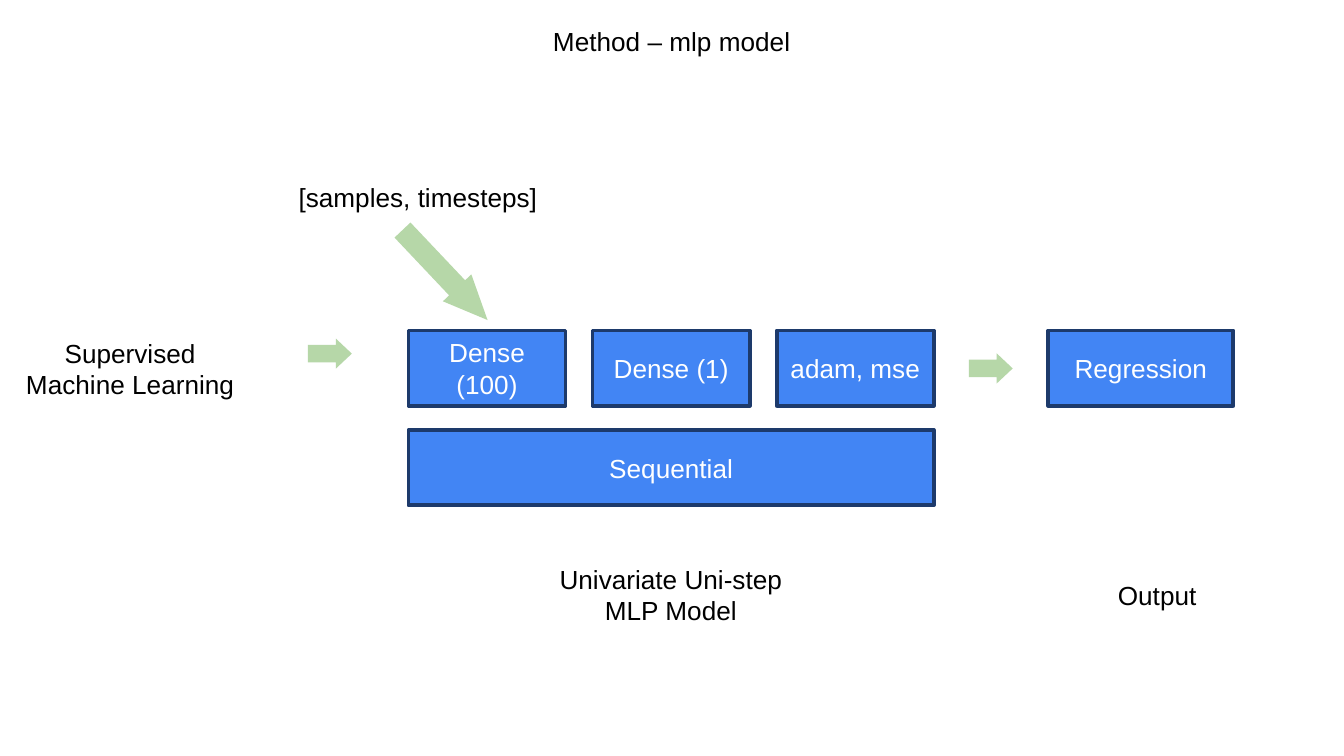
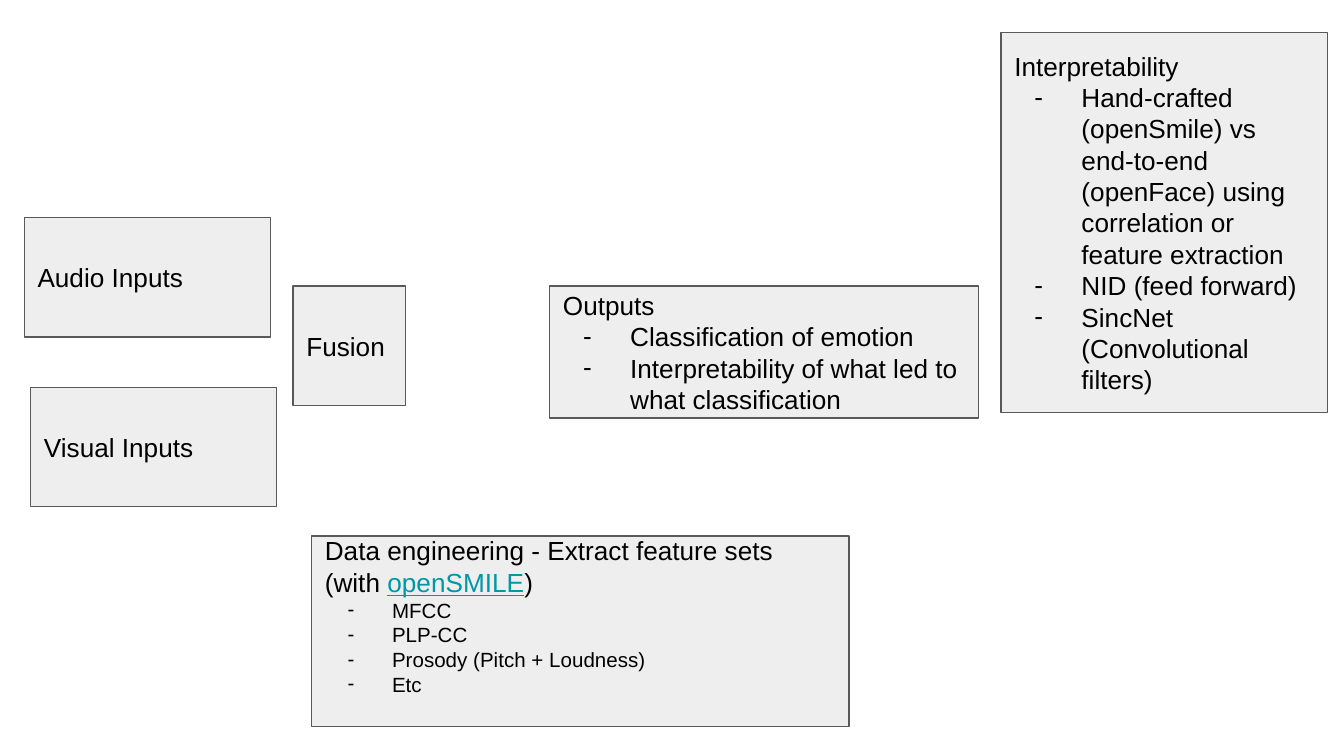
from lxml.etree import SubElement
from pptx import Presentation
from pptx.dml.color import RGBColor
from pptx.enum.shapes import MSO_SHAPE
from pptx.enum.text import MSO_ANCHOR, MSO_AUTO_SIZE, PP_ALIGN
from pptx.oxml.ns import qn
from pptx.util import Cm, Pt

BLACK = RGBColor(0x00, 0x00, 0x00)
WHITE = RGBColor(0xFF, 0xFF, 0xFF)
BLUE = RGBColor(0x42, 0x85, 0xF4)
NAVY = RGBColor(0x1D, 0x3A, 0x6B)
GREEN = RGBColor(0xB6, 0xD7, 0xA8)
LIGHT_GREY = RGBColor(0xEE, 0xEE, 0xEE)
DARK_GREY = RGBColor(0x59, 0x59, 0x59)
TEAL = RGBColor(0x00, 0x97, 0xA7)

FONT = "Arial"
TEXT_SIZE, SMALL_SIZE = 14, 11
BULLET_INDENT = 1.27

# All places are (left, top, width, height) in centimetres.
TITLE = ("Method – mlp model", (9.8, 0.36, 5.79, 0.86))
LABELS = [
    ("Supervised Machine Learning", (0.2, 6.25, 4.52, 1.45)),
    ("Univariate Uni-step MLP Model", (9.96, 10.52, 5.44, 1.45)),
    ("Output", (19.15, 10.82, 5.44, 0.86)),
    ("[samples, timesteps]", (5.31, 3.3, 5.18, 0.86)),
]
LAYERS = ["Dense (100)", "Dense (1)", "adam, mse"]
LAYER_LEFT, LAYER_TOP, LAYER_WIDTH, LAYER_HEIGHT = 7.72, 6.25, 2.97, 1.42
LAYER_STEP = 3.48
SEQUENTIAL_TOP = 8.13
REGRESSION_LEFT, REGRESSION_WIDTH = 19.81, 3.5
# Place, rotation, shaft share of the height, head length as share of the height
ARROWS = [
    ((5.82, 6.4, 0.83, 0.57), 0, 0.58, 0.53),
    ((18.31, 6.68, 0.83, 0.57), 0, 0.58, 0.53),
    ((7.24, 4.83, 2.34, 0.74), 46.6, 0.56, 1.13),
]

# Each heading is a list of (text, is_highlighted) runs.
PIPELINE = [
    {"place": (0.46, 4.11, 4.65, 2.26), "heading": [("Audio Inputs", False)]},
    {"place": (0.58, 7.32, 4.65, 2.26), "heading": [("Visual Inputs", False)]},
    {"place": (5.54, 5.41, 2.13, 2.26), "heading": [("Fusion", False)]},
    {
        "place": (10.39, 5.41, 8.1, 2.49),
        "heading": [("Outputs", False)],
        "bullets": [
            "Classification of emotion",
            "Interpretability of what led to what classification",
        ],
    },
    {
        "place": (18.92, 0.61, 6.17, 7.19),
        "heading": [("Interpretability", False)],
        "bullets": [
            "Hand-crafted (openSmile) vs end-to-end (openFace) "
            "using correlation or feature extraction",
            "NID (feed forward)",
            "SincNet (Convolutional filters)",
        ],
    },
    {
        "place": (5.89, 10.13, 10.16, 3.61),
        "heading": [
            ("Data engineering - Extract feature sets (with ", False),
            ("openSMILE", True),
            (")", False),
        ],
        "bullets": ["MFCC", "PLP-CC", "Prosody (Pitch + Loudness)", "Etc"],
        "bullet_size": SMALL_SIZE,
        "hanging": 0.84,
        "bottom_margin": 0.85,
    },
]


def in_cm(place):
    return [Cm(length) for length in place]


def set_values(target, values):
    for name, value in values.items():
        setattr(target, name, value)


def add_run(paragraph, text, color=BLACK, size=TEXT_SIZE, underline=None):
    run = paragraph.add_run()
    run.text = text
    set_values(run.font, {"name": FONT, "size": Pt(size), "underline": underline})
    run.font.color.rgb = color


def add_block(slide, kind, place, fill, line=None, line_width=0):
    shape = slide.shapes.add_shape(kind, *in_cm(place))
    shape.shadow.inherit = False
    shape.fill.solid()
    shape.fill.fore_color.rgb = fill
    if line is None:
        shape.line.fill.background()
    else:
        shape.line.color.rgb = line
        shape.line.width = Pt(line_width)
    return shape


def add_model_box(slide, text, place):
    shape = add_block(slide, MSO_SHAPE.RECTANGLE, place, BLUE, NAVY, 2)
    shape.text_frame.vertical_anchor = MSO_ANCHOR.MIDDLE
    paragraph = shape.text_frame.paragraphs[0]
    paragraph.alignment = PP_ALIGN.CENTER
    add_run(paragraph, text, WHITE)


def add_arrow(slide, place, rotation, shaft, head):
    arrow = add_block(slide, MSO_SHAPE.RIGHT_ARROW, place, GREEN)
    arrow.rotation = rotation
    arrow.adjustments[0] = shaft
    arrow.adjustments[1] = head


def write_label(shape, text):
    set_values(shape.text_frame, {
        "word_wrap": True,
        "auto_size": MSO_AUTO_SIZE.NONE,
        "vertical_anchor": MSO_ANCHOR.TOP,
    })
    paragraph = shape.text_frame.paragraphs[0]
    paragraph.alignment = PP_ALIGN.CENTER
    add_run(paragraph, text)


def set_dash_bullet(paragraph, hanging):
    properties = paragraph._p.get_or_add_pPr()
    properties.set("marL", str(Cm(BULLET_INDENT)))
    properties.set("indent", str(-Cm(hanging)))
    color = SubElement(properties, qn("a:buClr"))
    SubElement(color, qn("a:srgbClr"), val=str(BLACK))
    SubElement(properties, qn("a:buFont"), typeface=FONT)
    SubElement(properties, qn("a:buChar"), char="-")


def add_pipeline_box(slide, place, heading, bullets=(), bullet_size=TEXT_SIZE,
                     hanging=0.89, bottom_margin=0.25):
    shape = add_block(slide, MSO_SHAPE.RECTANGLE, place, LIGHT_GREY, DARK_GREY, 0.75)
    frame = shape.text_frame
    set_values(frame, {
        "vertical_anchor": MSO_ANCHOR.MIDDLE,
        "margin_left": Cm(0.25),
        "margin_right": Cm(0.25),
        "margin_top": Cm(0.25),
        "margin_bottom": Cm(bottom_margin),
    })
    paragraph = frame.paragraphs[0]
    paragraph.alignment = PP_ALIGN.LEFT
    for text, highlighted in heading:
        add_run(paragraph, text, TEAL if highlighted else BLACK,
                underline=highlighted)
    for text in bullets:
        paragraph = frame.add_paragraph()
        paragraph.alignment = PP_ALIGN.LEFT
        set_dash_bullet(paragraph, hanging)
        add_run(paragraph, text, size=bullet_size)


def build_method_slide(presentation):
    slide = presentation.slides.add_slide(presentation.slide_layouts.get_by_name("Title Only"))
    text, place = TITLE
    title = slide.shapes.title
    set_values(title, dict(zip(("left", "top", "width", "height"), in_cm(place))))
    write_label(title, text)
    for text, place in LABELS:
        write_label(slide.shapes.add_textbox(*in_cm(place)), text)
    for index, layer in enumerate(LAYERS):
        left = LAYER_LEFT + index * LAYER_STEP
        add_model_box(slide, layer, (left, LAYER_TOP, LAYER_WIDTH, LAYER_HEIGHT))
    row_width = (len(LAYERS) - 1) * LAYER_STEP + LAYER_WIDTH
    add_model_box(slide, "Sequential",
                  (LAYER_LEFT, SEQUENTIAL_TOP, row_width, LAYER_HEIGHT))
    add_model_box(slide, "Regression",
                  (REGRESSION_LEFT, LAYER_TOP, REGRESSION_WIDTH, LAYER_HEIGHT))
    for arrow in ARROWS:
        add_arrow(slide, *arrow)


def build_pipeline_slide(presentation):
    slide = presentation.slides.add_slide(presentation.slide_layouts.get_by_name("Blank"))
    for box in PIPELINE:
        add_pipeline_box(slide, **box)


def main():
    presentation = Presentation()
    presentation.slide_width = Cm(25.4)
    presentation.slide_height = Cm(14.29)
    build_method_slide(presentation)
    build_pipeline_slide(presentation)
    presentation.save("out.pptx")


if __name__ == "__main__":
    main()
